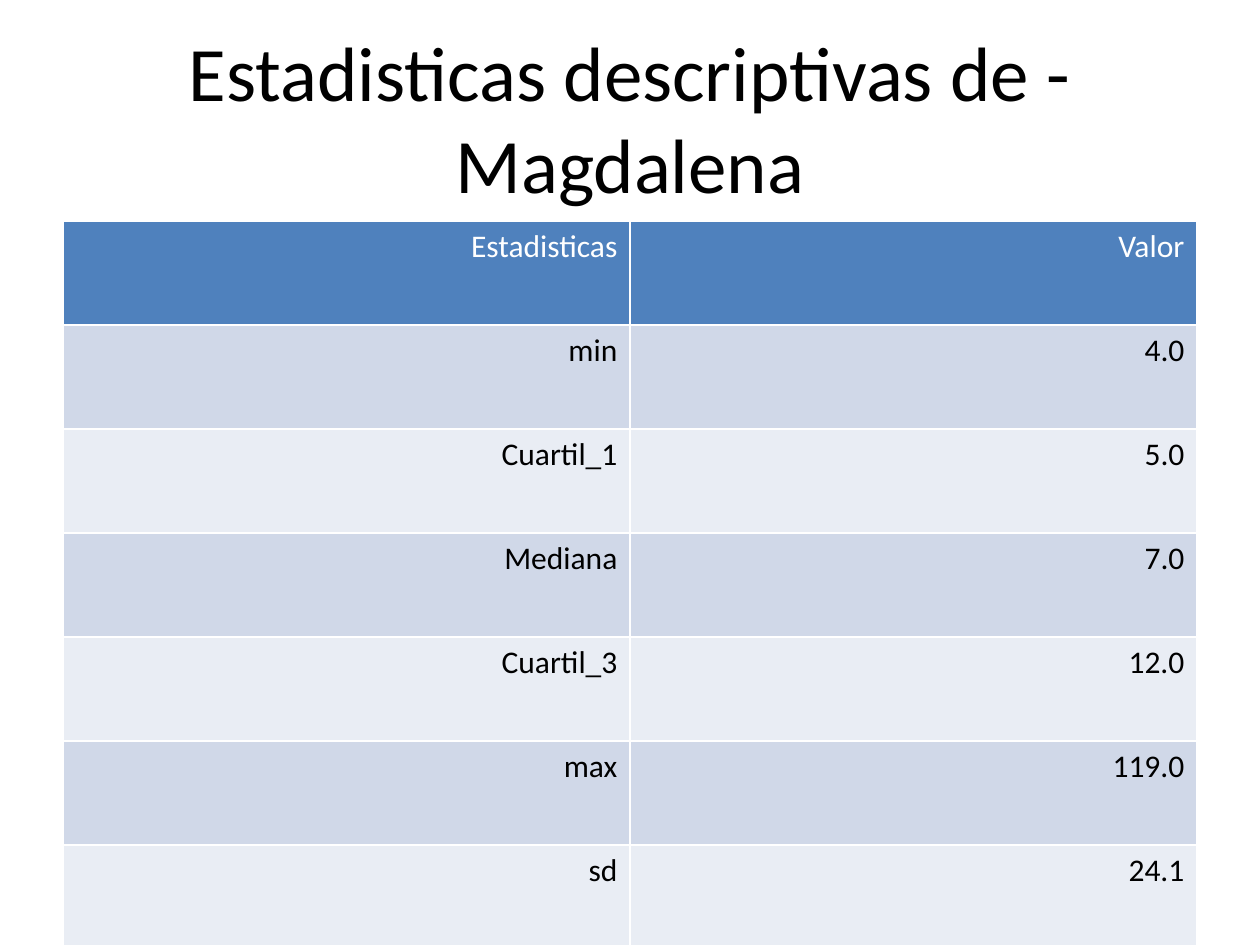
import dataclasses

import pptx
import pptx.dml.color
import pptx.enum.text
import pptx.util

PX_PER_INCH = 126
MARGIN = 63
CONTENT_W = 1134
TABLE_TOP = 221
ROW_H = 104

STATISTICS = [
    ("Estadisticas", "Valor"),
    ("min", "4.0"),
    ("Cuartil_1", "5.0"),
    ("Mediana", "7.0"),
    ("Cuartil_3", "12.0"),
    ("max", "119.0"),
    ("sd", "24.1"),
]


@dataclasses.dataclass(frozen=True)
class Theme:
    font: str = "Calibri"
    title_size: int = 44
    table_size: int = 18
    text: str = "000000"
    header_text: str = "FFFFFF"
    header_fill: str = "4F81BD"
    band_fills: tuple = ("D0D8E8", "E9EDF4")


THEME = Theme()


def px(n):
    return pptx.util.Emu(round(n * 914400 / PX_PER_INCH))


def rgb(value):
    return pptx.dml.color.RGBColor.from_string(value)


def format_paragraph(p, size, color, alignment):
    p.alignment = alignment
    p.font.name = THEME.font
    p.font.size = pptx.util.Pt(size)
    p.font.bold = False
    p.font.color.rgb = rgb(color)


def set_title(s, text):
    sp = s.shapes.title
    sp.left, sp.top, sp.width, sp.height = map(px, (MARGIN, 38, CONTENT_W, 158))
    tf = sp.text_frame
    tf.text = text
    tf.vertical_anchor = pptx.enum.text.MSO_ANCHOR.MIDDLE
    format_paragraph(tf.paragraphs[0], THEME.title_size, THEME.text,
                     pptx.enum.text.PP_ALIGN.CENTER)


def add_statistics_table(s, rows):
    """Fill a table whose first row is the header; its style draws the white rules."""
    table = s.shapes.add_table(
        len(rows), len(rows[0]), px(MARGIN), px(TABLE_TOP),
        px(CONTENT_W), px(ROW_H * len(rows))).table
    for i, values in enumerate(rows):
        fill = THEME.band_fills[(i - 1) % 2] if i else THEME.header_fill
        color = THEME.text if i else THEME.header_text
        for j, value in enumerate(values):
            cell = table.cell(i, j)
            cell.text = value
            cell.fill.solid()
            cell.fill.fore_color.rgb = rgb(fill)
            format_paragraph(cell.text_frame.paragraphs[0], THEME.table_size,
                             color, pptx.enum.text.PP_ALIGN.RIGHT)


def main():
    prs = pptx.Presentation()
    prs.slide_width = pptx.util.Inches(10)
    prs.slide_height = pptx.util.Inches(7.5)
    s = prs.slides.add_slide(prs.slide_layouts.get_by_name("Title Only"))
    set_title(s, "Estadisticas descriptivas de - Magdalena")
    add_statistics_table(s, STATISTICS)
    prs.save("out.pptx")


if __name__ == "__main__":
    main()
